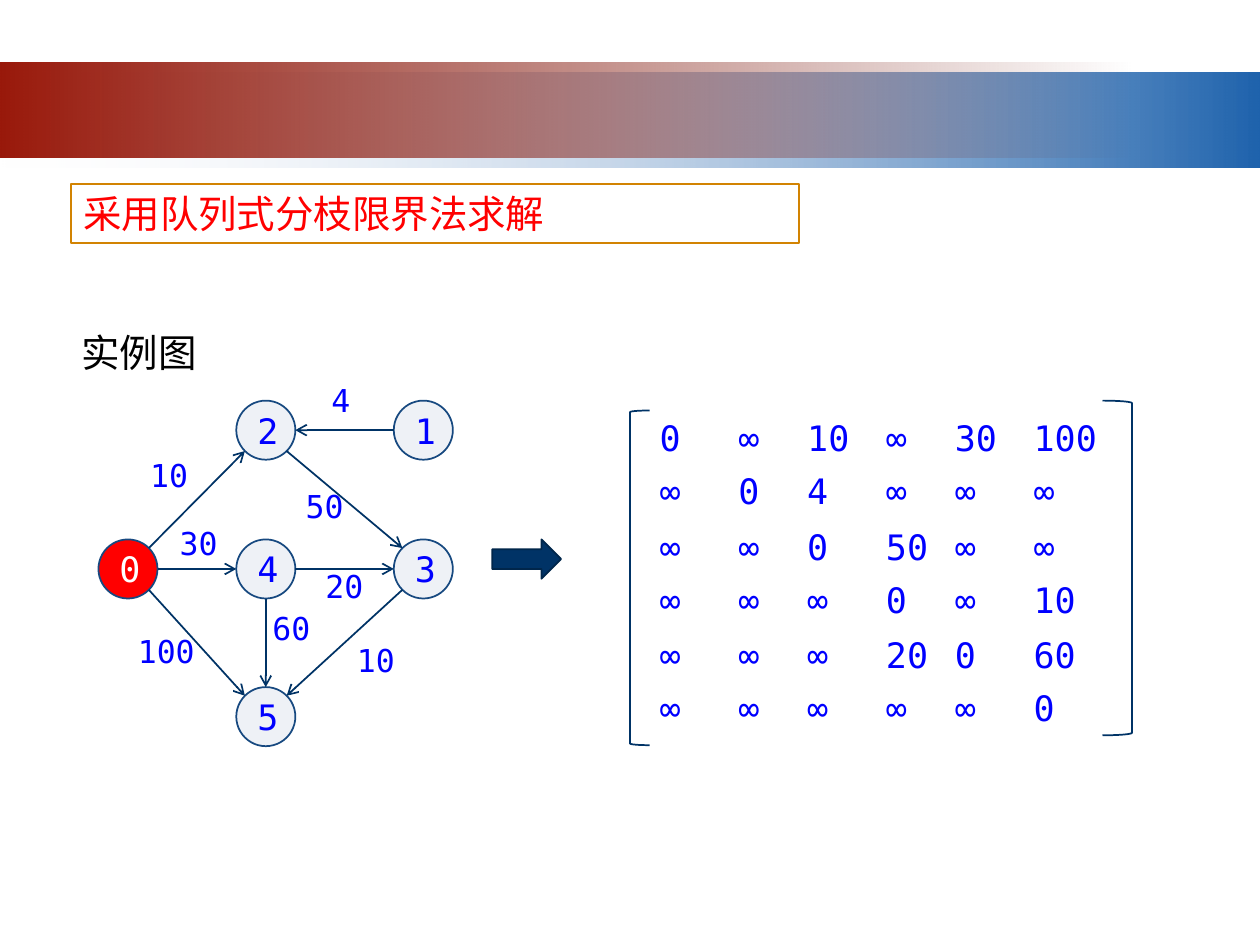
import math

from lxml import etree
from pptx import Presentation
from pptx import util as u
from pptx.dml.color import RGBColor
from pptx.enum import shapes, text
from pptx.oxml.ns import qn

COLORS = {
    "white": "FFFFFF", "black": "000000", "red": "FF0000", "blue": "0000FF",
    "navy": "003366", "dark navy": "00264B", "gold": "D28302",
    "node": "EEF1F6", "node edge": "174980",
    "band pale": "F1F2F7", "band blue": "1F63AD",
    "band red": "99190B", "band maroon": "6D1208",
}
FONT = "DejaVu Sans Mono"
COLUMNS, ROWS = 128, 96
SHAPE = shapes.MSO_SHAPE
NODE_SIZE = 6


class Canvas:
    """Style and current slide; all lengths are in grid columns and rows."""

    def __init__(self, presentation):
        self.slide = presentation.slides.add_slide(presentation.slide_layouts[6])
        self.column = presentation.slide_width / COLUMNS
        self.row = presentation.slide_height / ROWS

    def place(self, x, y, width, height):
        return (round(x * self.column), round(y * self.row),
                round(width * self.column), round(height * self.row))

    def color(self, name):
        return RGBColor.from_string(COLORS[name])

    def shape(self, kind, box, fill=None, line=None):
        shape = self.slide.shapes.add_shape(kind, *self.place(*box))
        shape.shadow.inherit = False
        if fill:
            shape.fill.solid()
            shape.fill.fore_color.rgb = self.color(fill)
        else:
            shape.fill.background()
        if line:
            shape.line.color.rgb = self.color(line)
            shape.line.width = u.Pt(1)
        else:
            shape.line.fill.background()
        return shape

    def band(self, box, start, end, clear_stop):
        shape = self.shape(SHAPE.RECTANGLE, box)
        shape.fill.gradient()
        shape.fill.gradient_angle = 0
        stops = shape.fill.gradient_stops
        for position, (stop, name) in enumerate(zip(stops, (start, end))):
            stop.position = position
            stop.color.rgb = self.color(name)
        colors = list(shape.element.spPr.iter(qn("a:srgbClr")))
        etree.SubElement(colors[clear_stop], qn("a:alpha"), val="0")

    def set_text(self, shape, words, size, color, centered=False, side_inset=0.1):
        frame = shape.text_frame
        frame.word_wrap = True
        frame.margin_left = frame.margin_right = u.Inches(side_inset)
        frame.vertical_anchor = (text.MSO_ANCHOR.MIDDLE if centered
                                 else text.MSO_ANCHOR.TOP)
        if not centered:
            frame.auto_size = text.MSO_AUTO_SIZE.SHAPE_TO_FIT_TEXT
        paragraph = frame.paragraphs[0]
        paragraph.text = words
        paragraph.alignment = (text.PP_ALIGN.CENTER if centered
                               else text.PP_ALIGN.LEFT)
        paragraph.font.name = FONT
        paragraph.font.size = u.Pt(size)
        paragraph.font.color.rgb = self.color(color)

    def label(self, box, words, size, color="blue", side_inset=0.1):
        shape = self.slide.shapes.add_textbox(*self.place(*box))
        self.set_text(shape, words, size, color, side_inset=side_inset)

    def node(self, name, x, y, fill="node", color="blue"):
        box = (x, y, NODE_SIZE, NODE_SIZE)
        shape = self.shape(SHAPE.OVAL, box, fill, "node edge")
        self.set_text(shape, name, 20, color, centered=True)

    def edge(self, start, end):
        """Arrow between two nodes, leaving and arriving at 45-degree steps."""
        step = math.pi / 4
        direction = math.atan2(end[1] - start[1], end[0] - start[0])
        angle = round(direction / step) * step
        radius = NODE_SIZE / 2
        dx, dy = radius * math.cos(angle), radius * math.sin(angle)
        begin = self.place(start[0] + radius + dx, start[1] + radius + dy, 0, 0)
        finish = self.place(end[0] + radius - dx, end[1] + radius - dy, 0, 0)
        connector = self.slide.shapes.add_connector(
            shapes.MSO_CONNECTOR.STRAIGHT, *begin[:2], *finish[:2])
        connector.line.color.rgb = self.color("navy")
        connector.line.width = u.Pt(1)
        properties = connector.element.spPr
        etree.SubElement(properties.find(qn("a:ln")), qn("a:tailEnd"), type="arrow")
        etree.SubElement(properties, qn("a:effectLst"))


NODES = {"0": (10, 54.8), "2": (24, 40.7), "4": (24, 54.8),
         "3": (40, 54.8), "5": (24, 69.8), "1": (40, 40.7)}

# From, to, weight, left and top of the weight label
EDGES = [
    ("0", "2", "10", 14, 45.7), ("0", "5", "100", 14, 63.6),
    ("0", "4", "30", 17, 52.6), ("2", "3", "50", 29.8, 48.8),
    ("4", "3", "20", 31.8, 57), ("3", "5", "10", 35, 64.5),
    ("1", "2", "4", 32.4, 38.1), ("4", "5", "60", 26.4, 61.2),
]

MATRIX = [
    "0 ∞ 10 ∞ 30 100",
    "∞ 0 4 ∞ ∞ ∞",
    "∞ ∞ 0 50 ∞ ∞",
    "∞ ∞ ∞ 0 ∞ 10",
    "∞ ∞ ∞ 20 0 60",
    "∞ ∞ ∞ ∞ ∞ 0",
]


def main():
    presentation = Presentation()
    presentation.slide_width = u.Inches(10)
    presentation.slide_height = u.Inches(7.5)
    canvas = Canvas(presentation)

    # Header bands
    canvas.band((0, 7.4, COLUMNS, 9.6), "band pale", "band blue", clear_stop=0)
    canvas.band((0, 6.4, 0.9 * COLUMNS, 9.6), "band red", "band maroon", clear_stop=1)

    # Headings
    title = canvas.shape(SHAPE.RECTANGLE, (7.2, 18.7, 74, 6), "white", "gold")
    canvas.set_text(title, "采用队列式分枝限界法求解", 22, "red")
    canvas.label((7, 32.8, 18, 6), "实例图", 22, "black")

    # Weighted graph, with the source node highlighted
    for name, (x, y) in NODES.items():
        style = ("red", "white") if name == "0" else ()
        canvas.node(name, x, y, *style)
    for start, end, weight, x, y in EDGES:
        canvas.edge(NODES[start], NODES[end])
        canvas.label((x, y, 7, 5.1), weight, 18,
                     side_inset=0 if len(weight) > 2 else 0.1)

    # Arrow from graph to matrix
    canvas.shape(SHAPE.RIGHT_ARROW, (50, 54.8, 7, 4), "navy", "dark navy")

    # Adjacency matrix: columns and rows repeat in pairs
    for row, values in enumerate(MATRIX):
        y = 41.7 + 11 * (row // 2) + 5.4 * (row % 2)
        for column, value in enumerate(values.split()):
            x = 67 + 15 * (column // 2) + 8 * (column % 2)
            canvas.label((x, y, 7, 5.6), value, 20, side_inset=0)
    canvas.shape(SHAPE.LEFT_BRACKET, (64, 41.7, 2, 34), line="navy")
    canvas.shape(SHAPE.RIGHT_BRACKET, (112, 40.7, 3, 34), line="navy")

    presentation.save("out.pptx")


if __name__ == "__main__":
    main()
